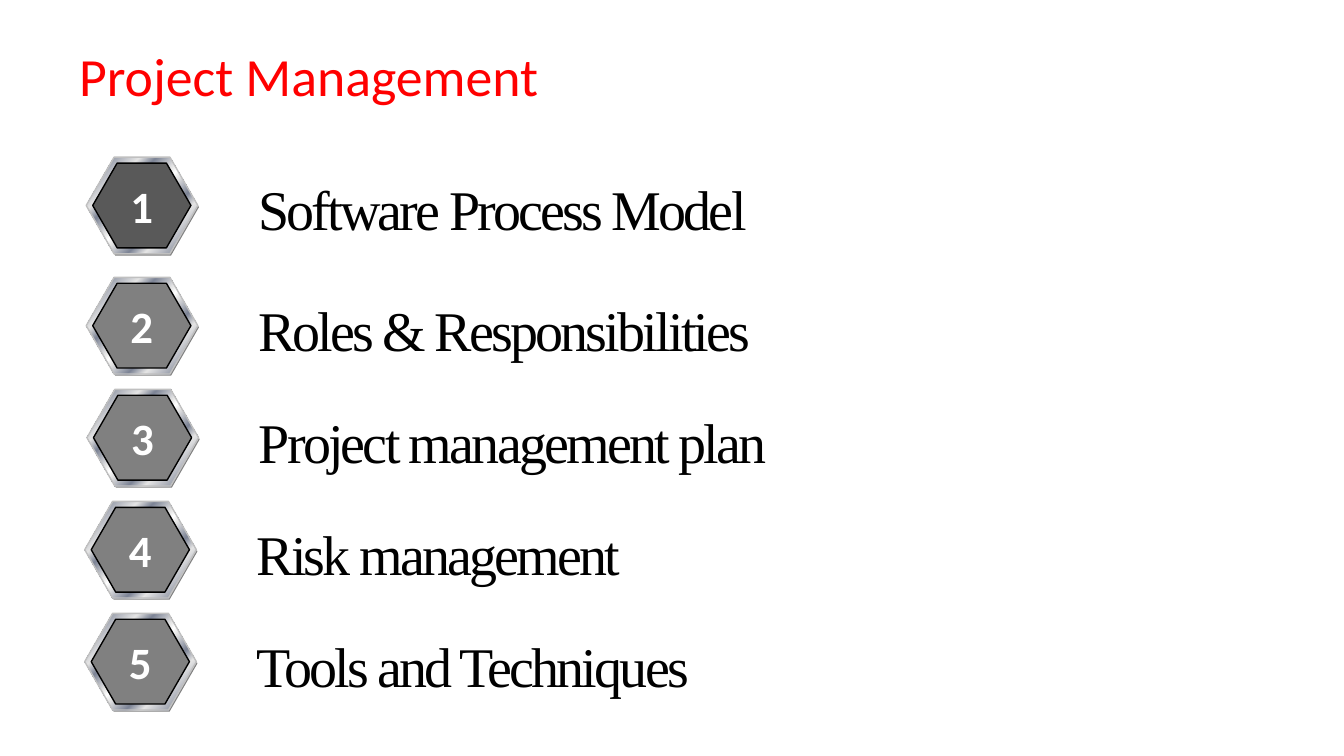
from dataclasses import dataclass
from typing import NamedTuple

from lxml.etree import SubElement
from pptx import Presentation
from pptx.dml.color import RGBColor
from pptx.enum.shapes import MSO_SHAPE
from pptx.enum.text import MSO_ANCHOR, MSO_AUTO_SIZE, PP_ALIGN
from pptx.oxml.ns import qn
from pptx.util import Pt


class TextStyle(NamedTuple):
    font: str
    size: float
    color: str
    bold: bool = False
    spacing: float = 0


@dataclass(frozen=True)
class Theme:
    title: TextStyle = TextStyle("Calibri", 28.8, "FF0000")
    topic: TextStyle = TextStyle("Times New Roman", 30, "000000", spacing=-1.5)
    number: TextStyle = TextStyle("Calibri", 24, "FFFFFF", bold=True)
    gray: str = "808080"
    dark: str = "595959"
    rim: str = "C0C0C0"
    outline: str = "000000"
    line_width: float = 0.75
    metal: tuple = (
        (0, "E6E6E6"), (8, "7D8496"), (26, "E6E6E6"), (34, "7D8496"),
        (46, "E6E6E6"), (50, "FFFFFF"), (54, "E6E6E6"), (66, "7D8496"),
        (74, "E6E6E6"), (92, "7D8496"), (100, "E6E6E6"),
    )


class Box(NamedTuple):
    left: float
    top: float
    width: float
    height: float

    def shifted(self, left: float, top: float) -> "Box":
        return Box(self.left + left, self.top + top, self.width, self.height)

    def lengths(self) -> list:
        return [Pt(value) for value in self]


class Topic(NamedTuple):
    text: str
    left: float
    top: float
    text_width: float
    face: str


THEME = Theme()
FIRST_TOP, SECOND_TOP, ROW_STEP = 84.2, 148.6, 60

TOPICS = [
    Topic("Software Process Model", 46.2, FIRST_TOP, 277.2, THEME.dark),
    Topic("Roles & Responsibilities", 46.2, SECOND_TOP, 280.1, THEME.gray),
    Topic("Project management plan", 46.6, SECOND_TOP + ROW_STEP, 288, THEME.gray),
    Topic("Risk management", 45.4, SECOND_TOP + 2 * ROW_STEP, 210.2, THEME.gray),
    Topic("Tools and Techniques", 45.4, SECOND_TOP + 3 * ROW_STEP, 247.7, THEME.gray),
]

# Parts of a row, measured from the corner of its metal rim
RIM = Box(0, 0, 59.8, 51.8)
SHADE = RIM.shifted(0.6, 0.9)
FACE = Box(3.5, 3.2, 52.6, 45.4)
NUMBER = Box(16.4, 7.8, 26.6, 36.7)


def add_text(slide, box: Box, text: str, style: TextStyle,
             align=PP_ALIGN.LEFT, anchor=MSO_ANCHOR.TOP, wrap: bool = False) -> None:
    frame = slide.shapes.add_textbox(*box.lengths()).text_frame
    frame.word_wrap = wrap
    frame.auto_size = MSO_AUTO_SIZE.NONE if wrap else MSO_AUTO_SIZE.SHAPE_TO_FIT_TEXT
    frame.vertical_anchor = anchor
    para = frame.paragraphs[0]
    para.alignment = align
    span = para.add_run()
    span.text = text
    span.font.name = style.font
    span.font.size = Pt(style.size)
    span.font.bold = style.bold
    span.font.color.rgb = RGBColor.from_string(style.color)
    if style.spacing:
        span.font._element.set("spc", str(round(style.spacing * 100)))


def add_hexagon(group, box: Box, fill: str | tuple, line: str | None = None) -> None:
    shape = group.shapes.add_shape(MSO_SHAPE.HEXAGON, *box.lengths())
    shape.shadow.inherit = False
    shape.adjustments[0] = 0.289
    shape.adjustments[1] = 1.155
    if isinstance(fill, str):
        shape.fill.solid()
        shape.fill.fore_color.rgb = RGBColor.from_string(fill)
    else:
        # Replace the two default stops with the full metal gradient
        shape.fill.gradient()
        shape.fill.gradient_angle = 315
        stops = shape._element.spPr.find(qn("a:gradFill")).find(qn("a:gsLst"))
        for stop in list(stops):
            stops.remove(stop)
        for position, color in fill:
            stop = SubElement(stops, qn("a:gs"), pos=str(position * 1000))
            SubElement(stop, qn("a:srgbClr"), val=color)
    if line is None:
        shape.line.fill.background()
    else:
        shape.line.color.rgb = RGBColor.from_string(line)
        shape.line.width = Pt(THEME.line_width)


def add_topic(slide, number: int, topic: Topic) -> None:
    # Badge: shade, metal rim, face
    badge = slide.shapes.add_group_shape()
    corner = topic.left, topic.top
    add_hexagon(badge, SHADE.shifted(*corner), THEME.gray)
    add_hexagon(badge, RIM.shifted(*corner), THEME.metal, THEME.rim)
    add_hexagon(badge, FACE.shifted(*corner), topic.face, THEME.outline)
    # Wording
    label = Box(85, 6, topic.text_width, 43.9)
    add_text(slide, label.shifted(*corner), topic.text, THEME.topic)
    add_text(slide, NUMBER.shifted(*corner), str(number), THEME.number, PP_ALIGN.CENTER)


def main() -> None:
    deck = Presentation()
    deck.slide_width, deck.slide_height = Pt(720), Pt(405)
    slide = deck.slides.add_slide(deck.slide_layouts[6])

    # Title
    add_text(slide, Box(35.3, 17.3, 517, 45.4), "Project Management", THEME.title,
             anchor=MSO_ANCHOR.MIDDLE, wrap=True)

    # Numbered topics
    for number, topic in enumerate(TOPICS, start=1):
        add_topic(slide, number, topic)

    deck.save("out.pptx")


if __name__ == "__main__":
    main()
